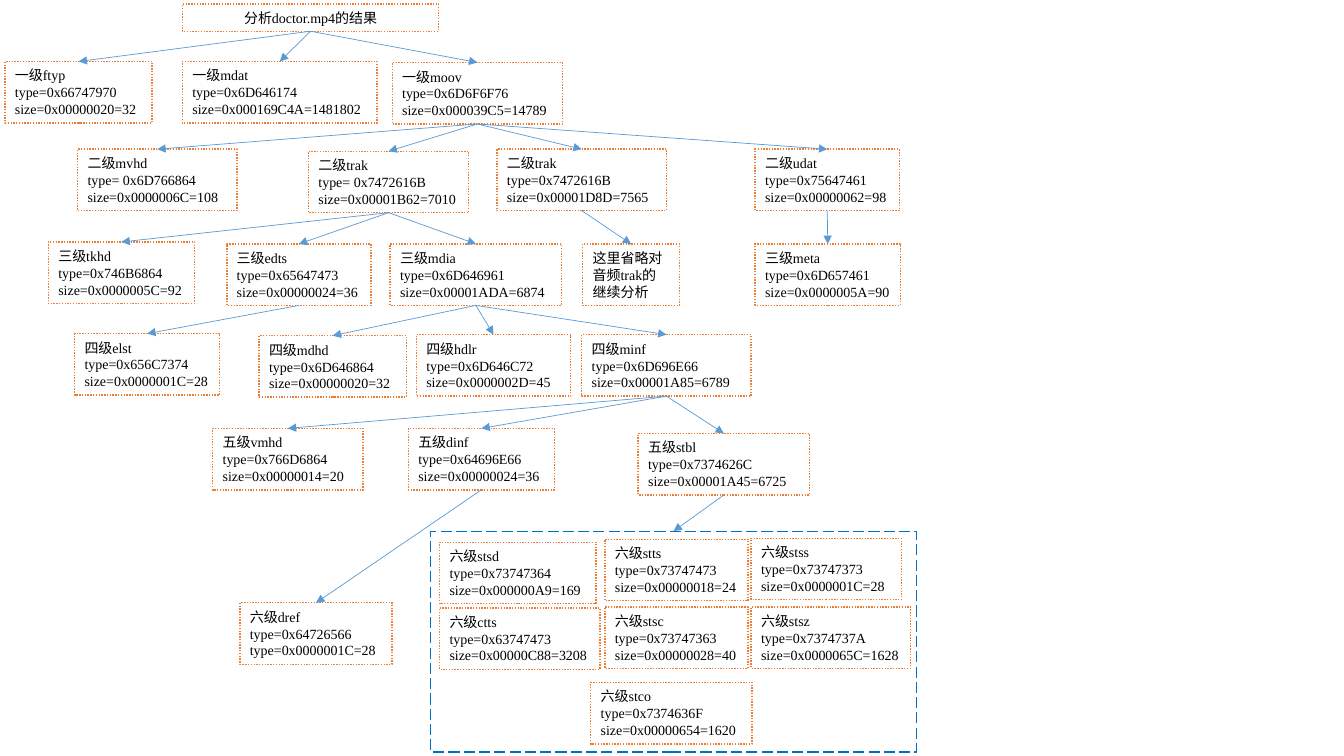
from pptx import Presentation
from pptx.dml.color import RGBColor
from pptx.enum.dml import MSO_LINE
from pptx.enum.shapes import MSO_CONNECTOR, MSO_SHAPE
from pptx.enum.text import MSO_ANCHOR, MSO_AUTO_SIZE, PP_ALIGN
from pptx.oxml.ns import qn
from pptx.util import Pt
from lxml.etree import SubElement

PX = 9144
BOX_H = 61


def rgb(value):
    return RGBColor.from_string(value)


def style_box(sp, text, align, auto_size):
    sp.fill.solid()
    sp.fill.fore_color.rgb = rgb("FFFFFF")
    sp.line.color.rgb = rgb("ED7D31")
    sp.line.width = Pt(1)
    sp.line.dash_style = MSO_LINE.ROUND_DOT
    tf = sp.text_frame
    tf.text = text
    tf.word_wrap = True
    tf.auto_size = auto_size
    tf.vertical_anchor = MSO_ANCHOR.MIDDLE
    for p in tf.paragraphs:
        p.alignment = align
        p.line_spacing = 1.0
        p.space_before = Pt(0)
        p.font.size = Pt(10)
        p.font.name = "Times New Roman"
        p.font.color.rgb = rgb("000000")


ATOMS = [
    ("ftyp", "root", 5, 61, 146, "一级ftyp\ntype=0x66747970\nsize=0x00000020=32"),
    ("mdat", "root", 181, 61, 193, "一级mdat\ntype=0x6D646174\nsize=0x000169C4A=1481802"),
    ("moov", "root", 389, 62, 169, "一级moov\ntype=0x6D6F6F76\nsize=0x000039C5=14789"),
    ("mvhd", "moov", 77, 148, 158, "二级mvhd\ntype= 0x6D766864\nsize=0x0000006C=108"),
    ("video", "moov", 306, 150, 159, "二级trak\ntype= 0x7472616B\nsize=0x00001B62=7010"),
    ("audio", "moov", 493, 148, 168, "二级trak\ntype=0x7472616B\nsize=0x00001D8D=7565"),
    ("udat", "moov", 749, 148, 143, "二级udat\ntype=0x75647461\nsize=0x00000062=98"),
    ("meta", "udat", 749, 242, 144, "三级meta\ntype=0x6D657461\nsize=0x0000005A=90"),
    ("tkhd", "video", 48, 240, 145, "三级tkhd\ntype=0x746B6864\nsize=0x0000005C=92"),
    ("mdia", "video", 387, 242, 170, "三级mdia\ntype=0x6D646961\nsize=0x00001ADA=6874"),
    ("edts", "video", 225, 242, 143, "三级edts\ntype=0x65647473\nsize=0x00000024=36"),
    ("note", "audio", 578, 242, 96, "这里省略对音频trak的继续分析"),
    ("elst", "edts", 74, 331, 144, "四级elst\ntype=0x656C7374\nsize=0x0000001C=28"),
    ("mdhd", "mdia", 257, 333, 146, "四级mdhd\ntype=0x6D646864\nsize=0x00000020=32"),
    ("hdlr", "mdia", 413, 332, 153, "四级hdlr\ntype=0x6D646C72\nsize=0x0000002D=45"),
    ("minf", "mdia", 577, 332, 168, "四级minf\ntype=0x6D696E66\nsize=0x00001A85=6789"),
    ("vmhd", "minf", 211, 425, 149, "五级vmhd\ntype=0x766D6864\nsize=0x00000014=20"),
    ("dinf", "minf", 405, 425, 145, "五级dinf\ntype=0x64696E66\nsize=0x00000024=36"),
    ("stbl", "minf", 633, 430, 170, "五级stbl\ntype=0x7374626C\nsize=0x00001A45=6725"),
    ("dref", "dinf", 238, 598, 151, "六级dref\ntype=0x64726566\ntype=0x0000001C=28"),
]

TABLE_ATOMS = [
    (436, 538, 155, "六级stsd\ntype=0x73747364\nsize=0x000000A9=169"),
    (600, 535, 142, "六级stts\ntype=0x73747473\nsize=0x00000018=24"),
    (436, 603, 159, "六级ctts\ntype=0x63747473\nsize=0x00000C88=3208"),
    (600, 602, 142, "六级stsc\ntype=0x73747363\nsize=0x00000028=40"),
    (745, 534, 149, "六级stss\ntype=0x73747373\nsize=0x0000001C=28"),
    (745, 602, 158, "六级stsz\ntype=0x7374737A\nsize=0x0000065C=1628"),
    (586, 677, 160, "六级stco\ntype=0x7374636F\nsize=0x00000654=1620"),
]

prs = Presentation()
prs.slide_width, prs.slide_height = 1333 * PX, 750 * PX
s = prs.slides.add_slide(prs.slide_layouts[5])

title = s.shapes.title
title.left, title.top, title.width, title.height = 181 * PX, 4 * PX, 254 * PX, 27 * PX
style_box(title, "分析doctor.mp4的结果", PP_ALIGN.CENTER, MSO_AUTO_SIZE.NONE)

boxes = {"root": title}
links = []
for name, parent, x, y, w, text in ATOMS:
    sp = s.shapes.add_shape(MSO_SHAPE.RECTANGLE, x * PX, y * PX, w * PX, BOX_H * PX)
    sp.shadow.inherit = False
    style_box(sp, text, PP_ALIGN.LEFT, MSO_AUTO_SIZE.SHAPE_TO_FIT_TEXT)
    boxes[name] = sp
    links.append((parent, name))

group = s.shapes.add_group_shape()
for x, y, w, text in TABLE_ATOMS:
    sp = group.shapes.add_shape(MSO_SHAPE.RECTANGLE, x * PX, y * PX, w * PX, BOX_H * PX)
    sp.shadow.inherit = False
    style_box(sp, text, PP_ALIGN.LEFT, MSO_AUTO_SIZE.SHAPE_TO_FIT_TEXT)

frame = group.shapes.add_shape(MSO_SHAPE.RECTANGLE, 427 * PX, 527 * PX, 482 * PX, 219 * PX)
frame.shadow.inherit = False
frame.fill.background()
frame.line.color.rgb = rgb("0070C0")
frame.line.width = Pt(1)
frame.line.dash_style = MSO_LINE.LONG_DASH
boxes["frame"] = frame
links.append(("stbl", "frame"))

for parent, child in links:
    arrow = s.shapes.add_connector(MSO_CONNECTOR.STRAIGHT, 0, 0, 0, 0)
    arrow.begin_connect(boxes[parent], 2)
    arrow.end_connect(boxes[child], 0)
    arrow.line.color.rgb = rgb("5B9BD5")
    arrow.line.width = Pt(0.5)
    props = arrow._element.spPr
    SubElement(props.find(qn("a:ln")), qn("a:tailEnd"), type="triangle")
    SubElement(props, qn("a:effectLst"))

prs.save("out.pptx")
